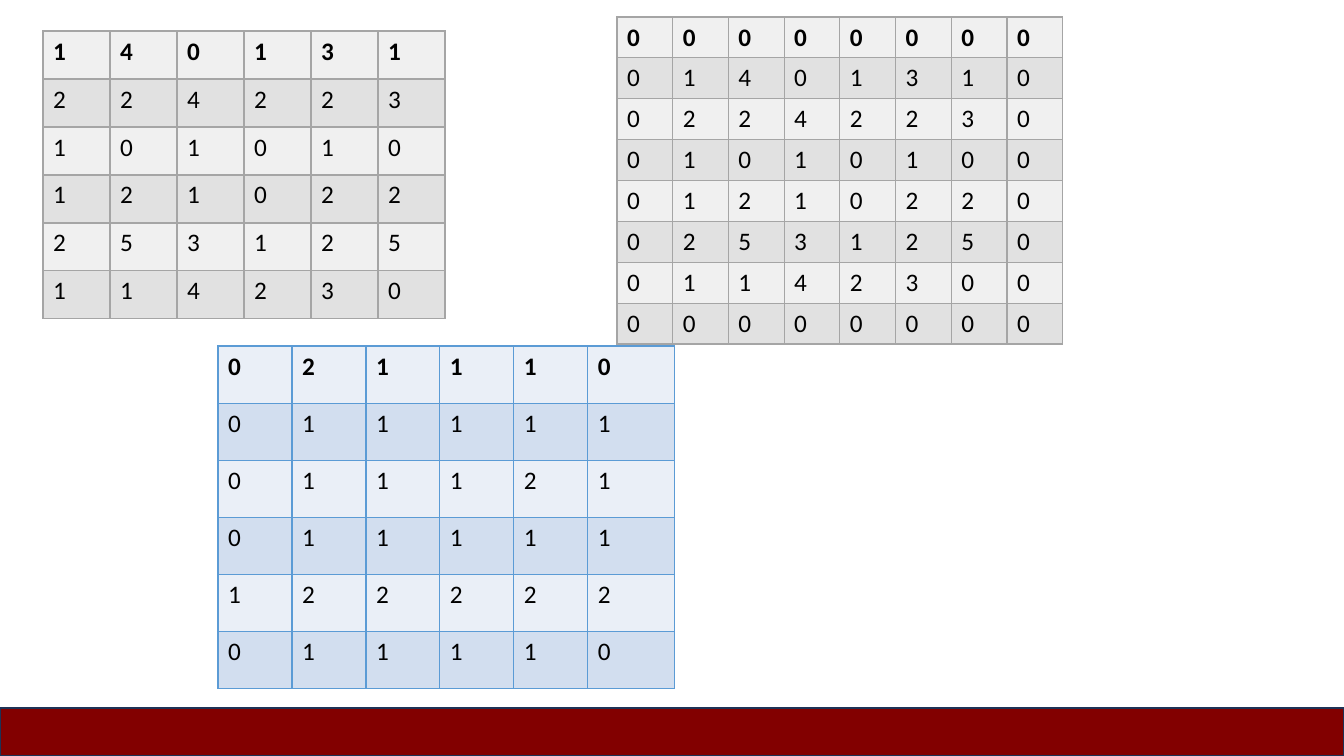
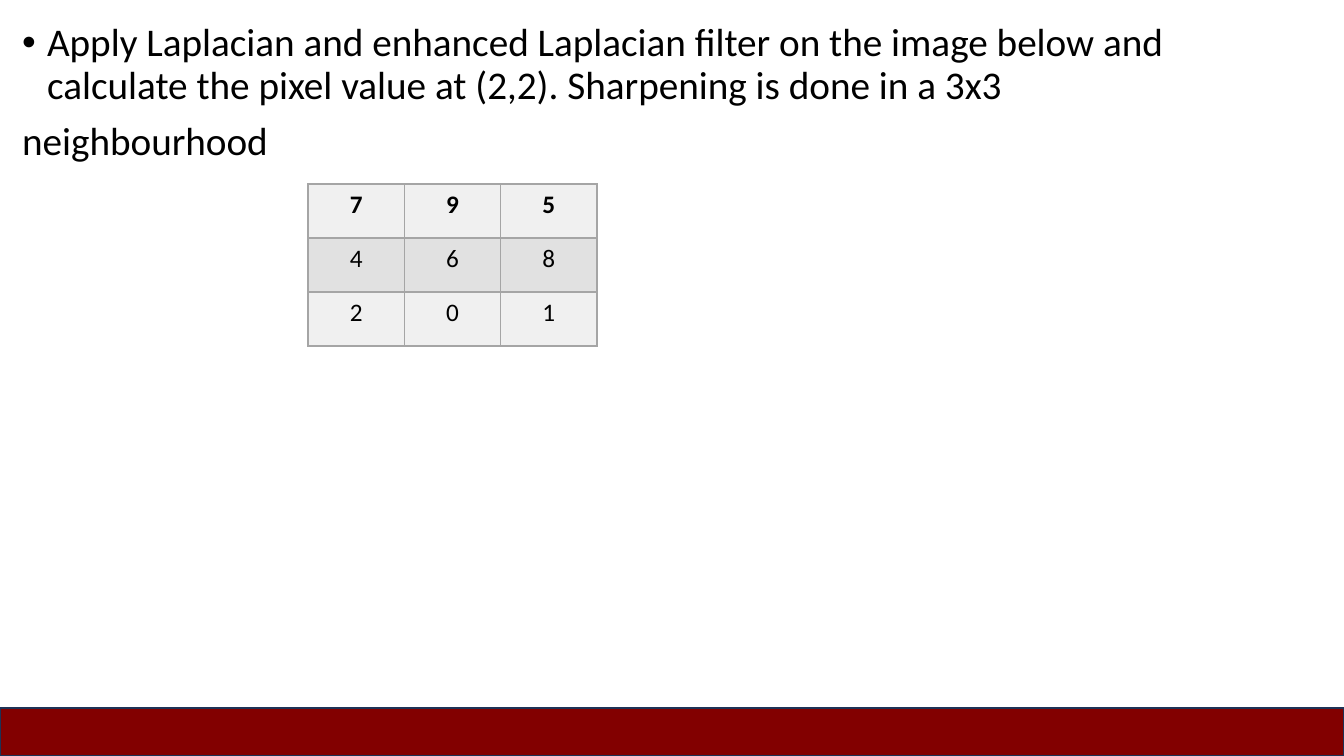
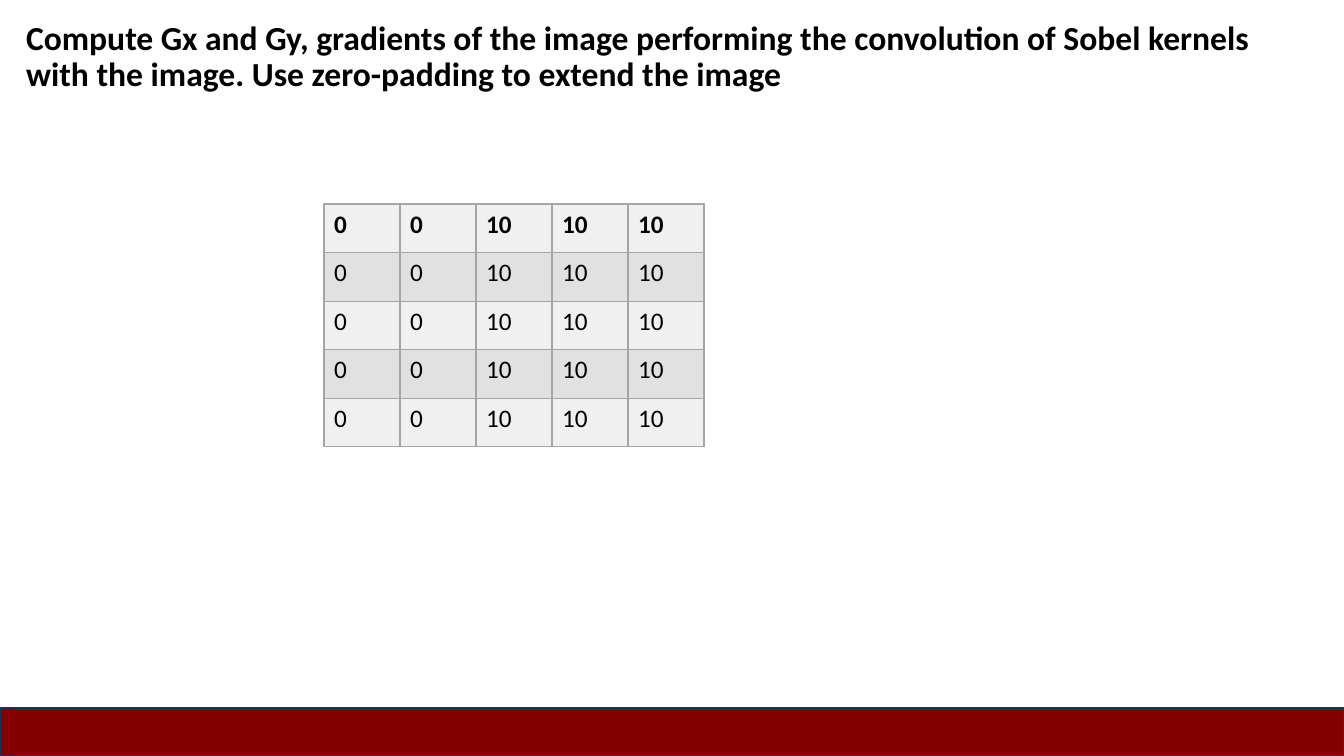
from lxml import etree
from pptx import Presentation
from pptx.dml.color import RGBColor
from pptx.enum.shapes import MSO_SHAPE
from pptx.enum.text import MSO_AUTO_SIZE, PP_ALIGN
from pptx.oxml.ns import qn
from pptx.util import Emu, Pt

RECTANGLE = MSO_SHAPE.RECTANGLE
NO_AUTOFIT = MSO_AUTO_SIZE.NONE
LEFT, CENTER = PP_ALIGN.LEFT, PP_ALIGN.CENTER
CONTENT_LAYOUT, BLANK_LAYOUT = 1, 6

PAGE_WIDTH, PAGE_HEIGHT = 1344, 756
EMU_PER_PX = 12192000 / PAGE_WIDTH
BAND_TOP = 708
HANGING_INDENT = 25

FONT = "Calibri"
BLACK = "000000"
BAND_FILL, BAND_LINE = "820000", "1E3256"
GREY = {"line": "A5A5A5", "fills": ("F0F0F0", "E1E1E1")}
BLUE = {"line": "5B9BD5", "fills": ("EAEFF7", "D2DEEF")}

IMAGE = [
    [1, 4, 0, 1, 3, 1],
    [2, 2, 4, 2, 2, 3],
    [1, 0, 1, 0, 1, 0],
    [1, 2, 1, 0, 2, 2],
    [2, 5, 3, 1, 2, 5],
    [1, 1, 4, 2, 3, 0],
]
FILTERED = [
    [0, 2, 1, 1, 1, 0],
    [0, 1, 1, 1, 1, 1],
    [0, 1, 1, 1, 2, 1],
    [0, 1, 1, 1, 1, 1],
    [1, 2, 2, 2, 2, 2],
    [0, 1, 1, 1, 1, 0],
]
LAPLACIAN_IMAGE = [[7, 9, 5], [4, 6, 8], [2, 0, 1]]
SOBEL_IMAGE = [[0, 0, 10, 10, 10]] * 5


def px(length):
    return Emu(round(length * EMU_PER_PX))


def rgb(color):
    return RGBColor.from_string(color)


def zero_padded(matrix):
    edge = [0] * (len(matrix[0]) + 2)
    return [edge, *([0, *row, 0] for row in matrix), edge]


def format_runs(para, size, bold):
    for span in para.runs:
        span.font.name = FONT
        span.font.size = Pt(size)
        span.font.bold = bold
        span.font.color.rgb = rgb(BLACK)


def set_borders(cell, color):
    properties = cell._tc.get_or_add_tcPr()
    for position, side in enumerate(("lnL", "lnR", "lnT", "lnB")):
        line = etree.Element(qn(f"a:{side}"), w=str(Pt(1)))
        fill = etree.SubElement(line, qn("a:solidFill"))
        etree.SubElement(fill, qn("a:srgbClr"), val=color)
        properties.insert(position, line)


def set_bullet(para, bulleted):
    properties = para._p.get_or_add_pPr()
    indent = px(HANGING_INDENT) if bulleted else 0
    properties.set("marL", str(indent))
    properties.set("indent", str(-indent))
    if bulleted:
        etree.SubElement(properties, qn("a:buFont"), typeface="Arial")
        etree.SubElement(properties, qn("a:buChar"), char="•")
    else:
        etree.SubElement(properties, qn("a:buNone"))


def add_matrix(page, matrix, left, top, column_widths, height, theme=GREY, align=LEFT):
    frame = page.shapes.add_table(
        len(matrix), len(column_widths),
        px(left), px(top), px(sum(column_widths)), px(height),
    )
    table = frame.table
    table.first_row = False
    table.horz_banding = False
    for column, width in zip(table.columns, column_widths):
        column.width = px(width)
    for index, values in enumerate(matrix):
        table.rows[index].height = px(height / len(matrix))
        for cell, value in zip(table.rows[index].cells, values):
            cell.text = str(value)
            cell.fill.solid()
            cell.fill.fore_color.rgb = rgb(theme["fills"][index % 2])
            set_borders(cell, theme["line"])
            para = cell.text_frame.paragraphs[0]
            para.alignment = align
            format_runs(para, 18, index == 0)


def even_columns(count, width):
    return [width / count] * count


def add_band(page):
    band = page.shapes.add_shape(
        RECTANGLE, 0, px(BAND_TOP), px(PAGE_WIDTH), px(PAGE_HEIGHT - BAND_TOP))
    band.shadow.inherit = False
    band.fill.solid()
    band.fill.fore_color.rgb = rgb(BAND_FILL)
    band.line.color.rgb = rgb(BAND_LINE)
    band.line.width = Pt(1)


def add_content_page(deck, lines, box, size, bold=False, bulleted_count=0):
    page = deck.slides.add_slide(deck.slide_layouts[CONTENT_LAYOUT])
    title = page.shapes.title
    title._element.getparent().remove(title._element)
    body = page.placeholders[1]
    body.left, body.top, body.width, body.height = map(px, box)
    body.text_frame.text = "\n".join(lines)
    body.text_frame.auto_size = NO_AUTOFIT
    for index, para in enumerate(body.text_frame.paragraphs):
        para.line_spacing = 0.9
        para.space_before = Pt(10)
        set_bullet(para, index < bulleted_count)
        format_runs(para, size, bold)
    return page


def add_padding_page(deck):
    page = deck.slides.add_slide(deck.slide_layouts[BLANK_LAYOUT])
    add_matrix(page, IMAGE, 43, 31, even_columns(6, 402), 288)
    add_matrix(page, zero_padded(IMAGE), 617, 17, even_columns(8, 446), 323)
    add_matrix(page, FILTERED, 218, 346, [74] * 5 + [87], 343, BLUE)
    add_band(page)


def add_laplacian_page(deck):
    lines = [
        "Apply Laplacian and enhanced Laplacian filter on the image below and "
        "calculate the pixel value at (2,2). Sharpening is done in a 3x3",
        "neighbourhood",
    ]
    page = add_content_page(deck, lines, (12, 18, 1307, 705), 28, bulleted_count=1)
    add_matrix(page, LAPLACIAN_IMAGE, 308, 184, even_columns(3, 289), 162, align=CENTER)
    add_band(page)


def add_sobel_page(deck):
    lines = [
        "Compute Gx and Gy, gradients of the image performing the convolution of "
        "Sobel kernels with the image. Use zero-padding to extend the image",
    ]
    page = add_content_page(deck, lines, (16, 16, 1306, 719), 24, bold=True)
    add_matrix(page, SOBEL_IMAGE, 324, 204, even_columns(5, 380), 243)
    add_band(page)


def main():
    deck = Presentation()
    deck.slide_width, deck.slide_height = px(PAGE_WIDTH), px(PAGE_HEIGHT)
    add_padding_page(deck)
    add_laplacian_page(deck)
    add_sobel_page(deck)
    deck.save("out.pptx")


if __name__ == "__main__":
    main()
